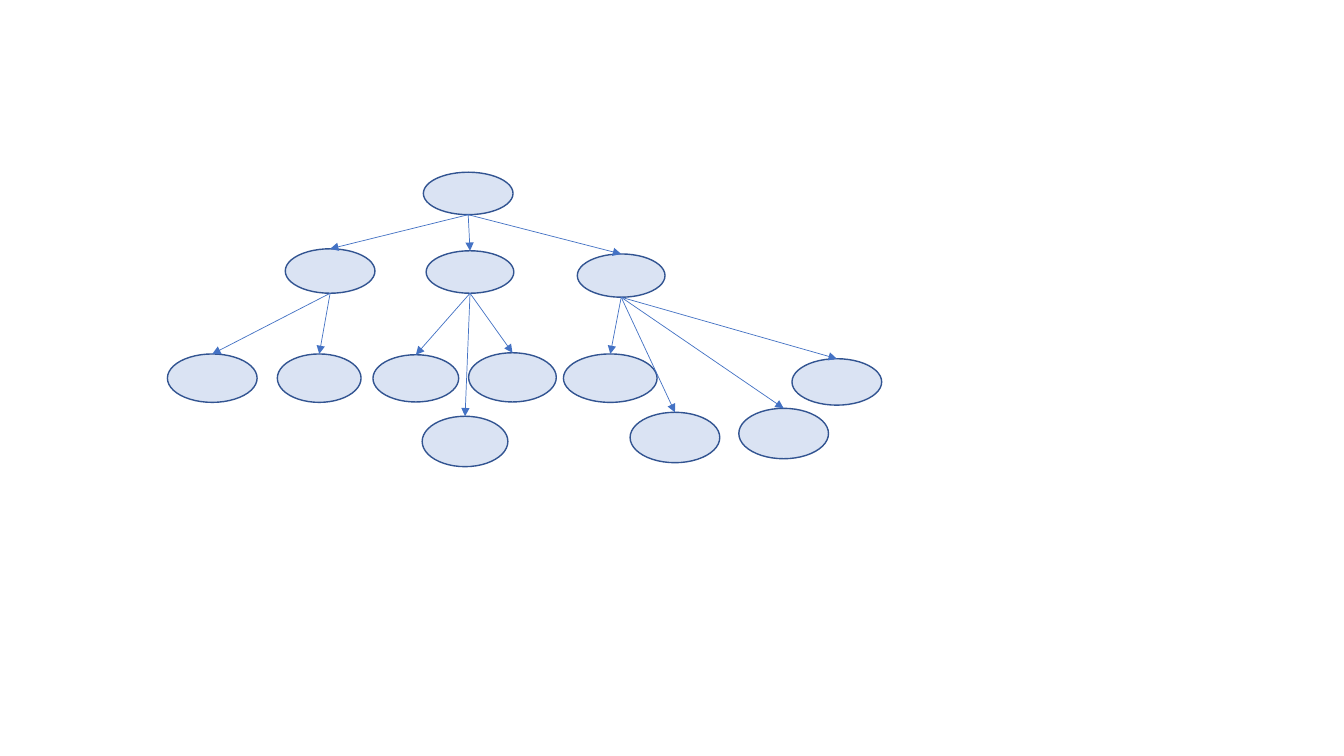
from dataclasses import dataclass

from lxml.etree import SubElement
from pptx import Presentation
from pptx.dml.color import RGBColor as RGB
from pptx.enum.shapes import MSO_CONNECTOR as CONN, MSO_SHAPE as SHAPE
from pptx.oxml.ns import qn
from pptx.util import Cm, Pt


@dataclass(frozen=True)
class Theme:
    node_fill: RGB = RGB.from_string("DAE3F3")
    node_line: RGB = RGB.from_string("325491")
    arrow: RGB = RGB.from_string("4472C4")
    node_width: Pt = Pt(1)
    arrow_width: Pt = Pt(0.5)


THEME = Theme()
TOP = 0  # connection site at the top of an ellipse

# Each node: (left, top, width, height) in cm, then its children
TREE = ((10.67, 4.34, 2.26, 1.07), [
    ((7.19, 6.27, 2.26, 1.12), [
        ((4.22, 8.92, 2.26, 1.22), []),
        ((6.99, 8.92, 2.11, 1.22), []),
    ]),
    ((10.74, 6.32, 2.21, 1.07), [
        ((9.40, 8.94, 2.16, 1.19), []),
        ((10.64, 10.49, 2.16, 1.27), []),
        ((11.81, 8.89, 2.21, 1.24), []),
    ]),
    ((14.55, 6.40, 2.21, 1.09), [
        ((14.20, 8.92, 2.36, 1.22), []),
        ((15.88, 10.39, 2.26, 1.27), []),
        ((18.62, 10.29, 2.26, 1.27), []),
        ((19.96, 9.04, 2.26, 1.17), []),
    ]),
])


def add_node(s, box):
    """Draw one ellipse of the tree."""
    sp = s.shapes.add_shape(SHAPE.OVAL, *map(Cm, box))
    sp.shadow.inherit = False
    sp.fill.solid()
    sp.fill.fore_color.rgb = THEME.node_fill
    sp.line.color.rgb = THEME.node_line
    sp.line.width = THEME.node_width
    return sp


def add_arrow(s, parent, child):
    """Draw an arrow from the bottom of parent to the top of child."""
    x, y = parent.left + parent.width // 2, parent.top + parent.height
    cxn = s.shapes.add_connector(CONN.STRAIGHT, x, y, child.left, child.top)
    cxn.end_connect(child, TOP)
    cxn.line.color.rgb = THEME.arrow
    cxn.line.width = THEME.arrow_width
    ln = cxn.line._get_or_add_ln()
    SubElement(ln, qn("a:tailEnd"), type="triangle")
    SubElement(cxn._element.spPr, qn("a:effectLst"))


def add_tree(s, tree, links):
    """Draw a node and all below it, collecting parent-child links."""
    box, children = tree
    node = add_node(s, box)
    for child in children:
        links.append((node, add_tree(s, child, links)))
    return node


def main():
    prs = Presentation()
    prs.slide_width, prs.slide_height = Cm(33.87), Cm(19.05)
    s = prs.slides.add_slide(prs.slide_layouts[6])

    # Nodes first, so that the arrows lie on top
    links = []
    add_tree(s, TREE, links)
    for parent, child in links:
        add_arrow(s, parent, child)

    prs.save("out.pptx")


if __name__ == "__main__":
    main()
